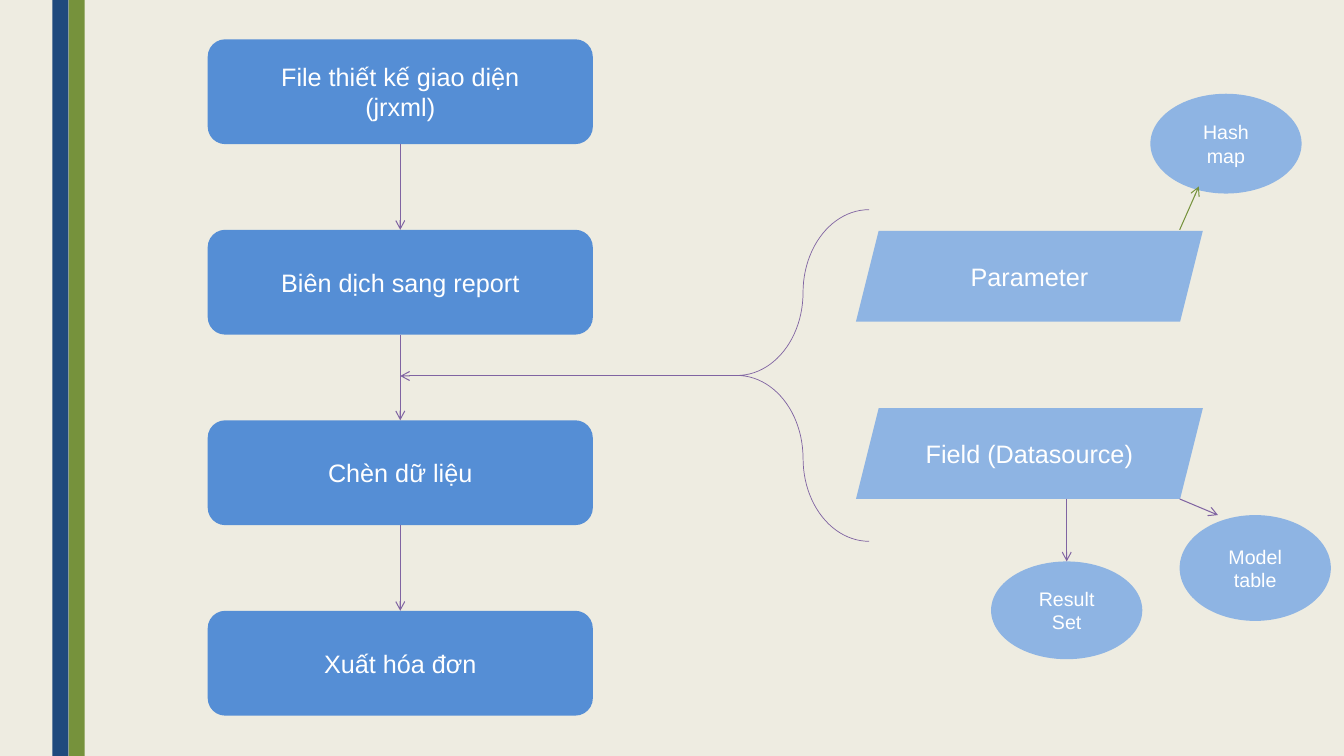
from dataclasses import dataclass

from lxml import etree
from pptx import Presentation
from pptx.dml.color import RGBColor
from pptx.enum.shapes import MSO_CONNECTOR as Connector, MSO_SHAPE as Shape
from pptx.enum.text import MSO_ANCHOR as Anchor, PP_ALIGN as Align
from pptx.oxml.ns import qn
from pptx.util import Inches, Pt


@dataclass(frozen=True)
class Theme:
    """Colours, font and sizes of the slide."""
    background: str = "EEECE1"
    navy: str = "1F497D"
    green: str = "76923C"
    step: str = "558ED5"
    data: str = "8EB4E3"
    purple: str = "8064A2"
    text: str = "FFFFFF"
    font: str = "Arial"
    large: float = 18
    small: float = 14
    arrow_width: float = 0.75
    brace_width: float = 0.5


THEME = Theme()


def add_block(slide, kind, box, fill, text="", size=THEME.large):
    """Add a filled preset shape with centred text."""
    shape = slide.shapes.add_shape(kind, *map(Inches, box))
    shape.shadow.inherit = False
    shape.fill.solid()
    shape.fill.fore_color.rgb = RGBColor.from_string(fill)
    shape.line.fill.background()
    if text:
        frame = shape.text_frame
        frame.text = text
        frame.word_wrap = True
        frame.vertical_anchor = Anchor.MIDDLE
        for paragraph in frame.paragraphs:
            paragraph.alignment = Align.CENTER
            for run in paragraph.runs:
                run.font.name = THEME.font
                run.font.size = Pt(size)
                run.font.color.rgb = RGBColor.from_string(THEME.text)
    return shape


def add_arrow(slide, start, end, color=THEME.purple):
    """Add a straight connector with an open arrowhead at its end."""
    arrow = slide.shapes.add_connector(
        Connector.STRAIGHT, *map(Inches, (*start, *end)))
    arrow.line.color.rgb = RGBColor.from_string(color)
    arrow.line.width = Pt(THEME.arrow_width)
    etree.SubElement(arrow.line._get_or_add_ln(), qn("a:tailEnd"), type="arrow")
    etree.SubElement(arrow._element.spPr, qn("a:effectLst"))
    return arrow


def add_brace(slide, box):
    """Add the brace that groups the two data inputs."""
    brace = slide.shapes.add_shape(Shape.LEFT_BRACE, *map(Inches, box))
    brace.shadow.inherit = False
    brace.adjustments[0] = 0.84
    brace.fill.background()
    brace.line.color.rgb = RGBColor.from_string(THEME.purple)
    brace.line.width = Pt(THEME.brace_width)


def add_steps(slide):
    """Add the column of process steps and the arrows joining them."""
    labels = ("File thiết kế giao diện\n(jrxml)", "Biên dịch sang report",
              "Chèn dữ liệu", "Xuất hóa đơn")
    left, top, width, height, pitch = 2.06, 0.39, 3.82, 1.04, 1.89
    steps = [add_block(slide, Shape.ROUNDED_RECTANGLE,
                       (left, top + index * pitch, width, height),
                       THEME.step, label)
             for index, label in enumerate(labels)]
    center = left + width / 2
    for index, (upper, lower) in enumerate(zip(steps, steps[1:])):
        bottom = top + index * pitch + height
        arrow = add_arrow(slide, (center, bottom),
                          (center, top + (index + 1) * pitch))
        arrow.begin_connect(upper, 2)
        arrow.end_connect(lower, 0)


def add_inputs(slide):
    """Add the data inputs, their sources and the linking arrows."""
    add_arrow(slide, (7.36, 3.73), (3.97, 3.73))
    add_brace(slide, (7.31, 2.08, 1.31, 3.29))
    for label, top in (("Parameter", 2.29), ("Field (Datasource)", 4.05)):
        add_block(slide, Shape.PARALLELOGRAM, (8.49, top, 3.44, 0.9),
                  THEME.data, label)
    sources = (
        ("Hash map", (11.41, 0.93, 1.5, 0.99),
         (11.7, 2.28), (11.89, 1.85), THEME.green),
        ("Result Set", (9.83, 5.57, 1.5, 0.97),
         (10.58, 4.95), (10.58, 5.57), THEME.purple),
        ("Model table", (11.7, 5.11, 1.5, 1.05),
         (11.7, 4.95), (12.08, 5.11), THEME.purple),
    )
    for label, box, start, end, color in sources:
        add_block(slide, Shape.OVAL, box, THEME.data, label, THEME.small)
        add_arrow(slide, start, end, color)


def main():
    """Build and save the report flow slide."""
    presentation = Presentation()
    presentation.slide_width = Inches(13.33)
    presentation.slide_height = Inches(7.5)
    slide = presentation.slides.add_slide(presentation.slide_layouts[6])
    slide.background.fill.solid()
    slide.background.fill.fore_color.rgb = RGBColor.from_string(THEME.background)
    for left, color in ((0.68, THEME.green), (0.52, THEME.navy)):
        add_block(slide, Shape.RECTANGLE, (left, 0, 0.16, 7.5), color)
    add_steps(slide)
    add_inputs(slide)
    presentation.save("out.pptx")


if __name__ == "__main__":
    main()
